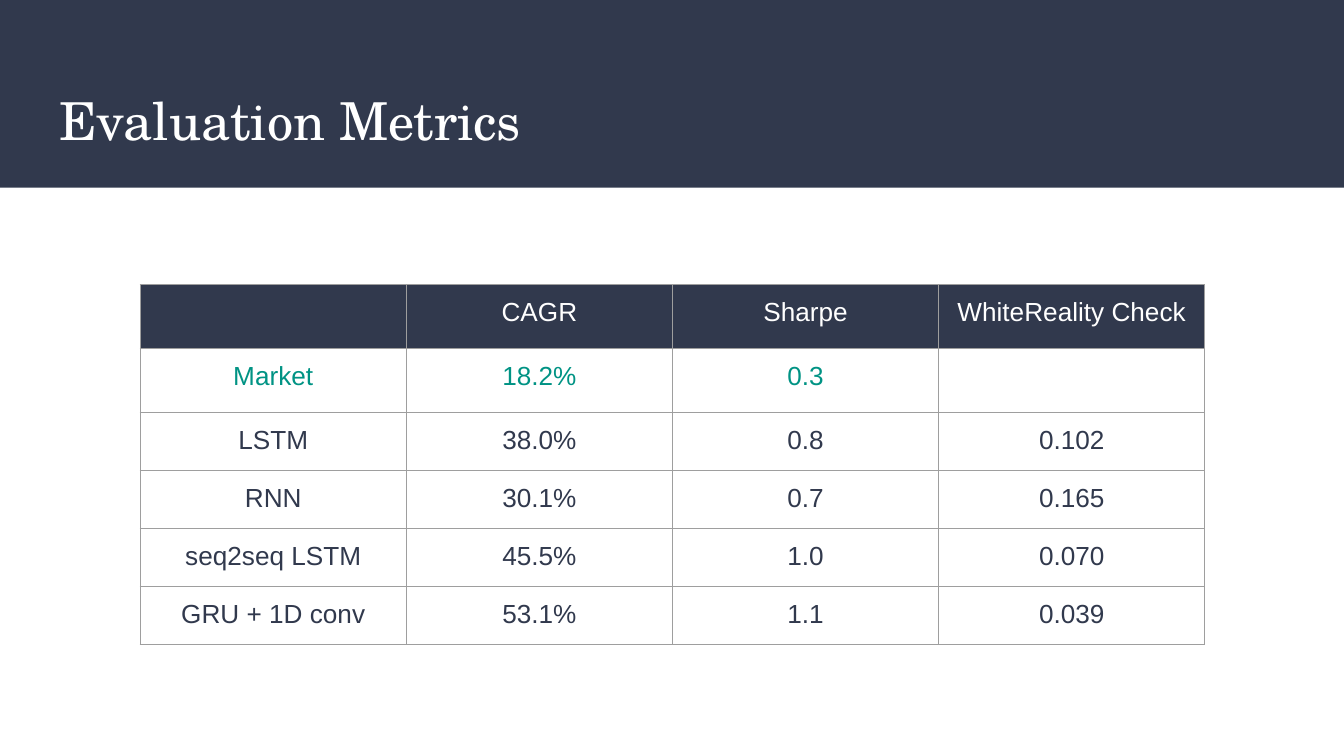
from lxml import etree
from pptx import Presentation
from pptx import util as u
from pptx.dml.color import RGBColor
from pptx.enum import shapes, text
from pptx.oxml import ns

# Content
TITLE = "Evaluation Metrics"
METRICS = [
    ("", "CAGR", "Sharpe", "WhiteReality Check"),
    ("Market", "18.2%", "0.3", ""),
    ("LSTM", "38.0%", "0.8", "0.102"),
    ("RNN", "30.1%", "0.7", "0.165"),
    ("seq2seq LSTM", "45.5%", "1.0", "0.070"),
    ("GRU + 1D conv", "53.1%", "1.1", "0.039"),
]


class Theme:
    navy = "31394D"
    green = "009384"
    white = "FFFFFF"
    grid = "9E9E9E"
    title_font, title_size = "TeX Gyre Schola", 28
    body_font, body_size = "Arial", 14
    grid_width = 0.75


# Layout, in centimetres
PAGE_W, PAGE_H = 25.4, 14.29
BAND_H = 3.55
INSET = u.Cm(0.25)
TABLE_LEFT, TABLE_TOP = 2.65, 5.38
COLUMN_W = 5.03
TALL_ROW, ROW = 1.21, 1.07
ROW_COLOURS = [Theme.white, Theme.green]  # later rows are navy


def style(para, font, size, colour):
    for span in para.runs:
        span.font.name = font
        span.font.size = u.Pt(size)
        span.font.color.rgb = RGBColor.from_string(colour)


def add_borders(cell):
    properties = cell._tc.get_or_add_tcPr()
    for side in ("lnL", "lnR", "lnT", "lnB"):
        line = etree.SubElement(properties, ns.qn(f"a:{side}"),
                                w=str(u.Pt(Theme.grid_width)))
        fill = etree.SubElement(line, ns.qn("a:solidFill"))
        etree.SubElement(fill, ns.qn("a:srgbClr"), val=Theme.grid)


deck = Presentation()
deck.slide_width, deck.slide_height = u.Cm(PAGE_W), u.Cm(PAGE_H)
page = deck.slides.add_slide(deck.slide_layouts[6])

# Header band
band = page.shapes.add_shape(shapes.MSO_SHAPE.RECTANGLE, 0, 0,
                             u.Cm(PAGE_W), u.Cm(BAND_H))
band.shadow.inherit = False
band.fill.solid()
band.fill.fore_color.rgb = RGBColor.from_string(Theme.navy)
band.line.fill.background()

# Title
box = page.shapes.add_textbox(u.Cm(0.87), u.Cm(1.4), u.Cm(23.67), u.Cm(1.73))
frame = box.text_frame
frame.word_wrap = True
frame.vertical_anchor = text.MSO_ANCHOR.MIDDLE
frame.margin_left = frame.margin_right = INSET
frame.margin_top = frame.margin_bottom = INSET
frame.text = TITLE
style(frame.paragraphs[0], Theme.title_font, Theme.title_size, Theme.white)

# Metrics table: the header and the market baseline are taller
heights = [TALL_ROW] * 2 + [ROW] * (len(METRICS) - 2)
columns = len(METRICS[0])
table = page.shapes.add_table(
    len(METRICS), columns, u.Cm(TABLE_LEFT), u.Cm(TABLE_TOP),
    u.Cm(COLUMN_W * columns), u.Cm(sum(heights))).table
for column in table.columns:
    column.width = u.Cm(COLUMN_W)

for r, values in enumerate(METRICS):
    table.rows[r].height = u.Cm(heights[r])
    colour = ROW_COLOURS[r] if r < len(ROW_COLOURS) else Theme.navy
    for c, value in enumerate(values):
        cell = table.cell(r, c)
        add_borders(cell)
        if r == 0:
            cell.fill.solid()
            cell.fill.fore_color.rgb = RGBColor.from_string(Theme.navy)
        else:
            cell.fill.background()
        if value:
            cell.margin_left = cell.margin_right = INSET
            cell.margin_top = cell.margin_bottom = INSET
            cell.text_frame.text = value
            para = cell.text_frame.paragraphs[0]
            para.alignment = text.PP_ALIGN.CENTER
            style(para, Theme.body_font, Theme.body_size, colour)

deck.save("out.pptx")
